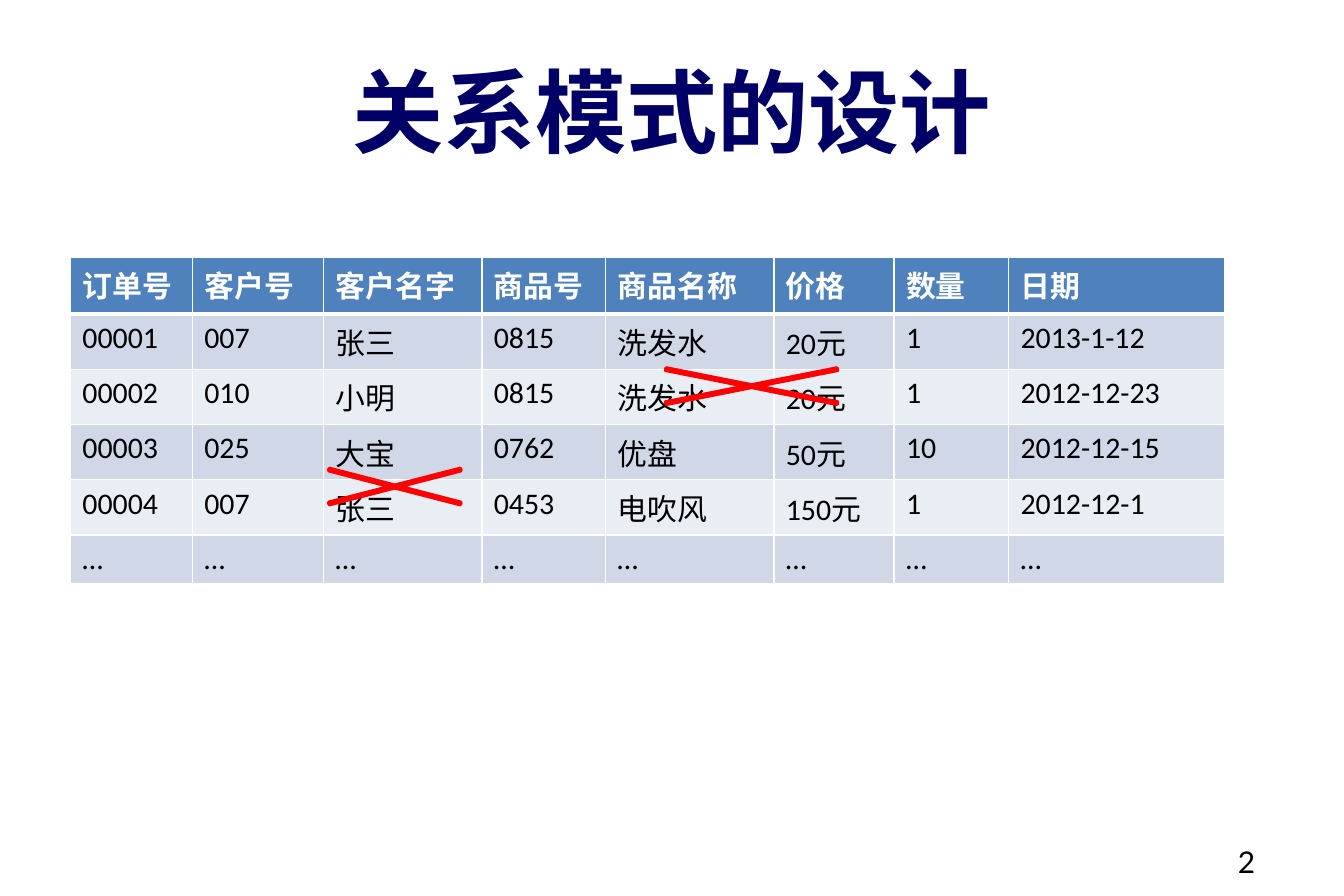
import dataclasses

import pptx
import pptx.dml.color
import pptx.enum.shapes
import pptx.enum.text
import pptx.oxml
import pptx.oxml.ns
import pptx.util

Pt = pptx.util.Pt
ALIGN = pptx.enum.text.PP_ALIGN
ANCHOR = pptx.enum.text.MSO_ANCHOR

TITLE = "关系模式的设计"
PAGE = "2"
HEADER = ("订单号", "客户号", "客户名字", "商品号", "商品名称", "价格", "数量", "日期")
ORDERS = [
    ("00001", "007", "张三", "0815", "洗发水", "20元", "1", "2013-1-12"),
    ("00002", "010", "小明", "0815", "洗发水", "20元", "1", "2012-12-23"),
    ("00003", "025", "大宝", "0762", "优盘", "50元", "10", "2012-12-15"),
    ("00004", "007", "张三", "0453", "电吹风", "150元", "1", "2012-12-1"),
    ("…",) * len(HEADER),
]

SLIDE_SIZE = (810, 540)
TITLE_BOX = (40.5, 21.5, 729, 90)
PAGE_BOX = (580.5, 502, 189, 37.5)
TABLE_ORIGIN = (42.5, 154.8)
COL_WIDTHS = (73.5, 79, 95.5, 74.5, 101.5, 72.5, 69, 130.5)
HEADER_HEIGHT, ROW_HEIGHT = 34.5, 29.5
CROSS_BOXES = [(353.5, 213, 199, 39.5), (161.5, 273.5, 153, 39.5)]


@dataclasses.dataclass(frozen=True)
class Theme:
    """Colours, fonts and type sizes of the slide."""
    title: str = "000066"
    text: str = "000000"
    white: str = "FFFFFF"
    header: str = "4F81BD"
    bands: tuple = ("D0D8E8", "E9EDF4")
    cross: str = "FF0000"
    title_font: str = "Lato"
    header_font: str = "Arial"
    body_font: str = "Calibri"
    title_size: int = 55
    body_size: int = 18


THEME = Theme()


def rgb(value):
    """Turn a hex string into a colour."""
    return pptx.dml.color.RGBColor.from_string(value)


def write(tf, text, font, size, color, bold=False, align=None):
    """Put one formatted run into the first paragraph of a text frame."""
    p = tf.paragraphs[0]
    p.alignment = align
    r = p.add_run()
    r.text = text
    r.font.name, r.font.size, r.font.bold = font, Pt(size), bold
    r.font.color.rgb = rgb(color)


def set_insets(tf):
    """Give a text frame wrapping and the wide insets."""
    tf.word_wrap = True
    tf.auto_size = pptx.enum.text.MSO_AUTO_SIZE.NONE
    tf.margin_left = tf.margin_right = Pt(13)
    tf.margin_top = tf.margin_bottom = Pt(6.5)


def add_title(s):
    """Place and fill the title placeholder."""
    sp = s.shapes.title
    sp.left, sp.top, sp.width, sp.height = map(Pt, TITLE_BOX)
    set_insets(sp.text_frame)
    sp.text_frame.vertical_anchor = ANCHOR.MIDDLE
    write(sp.text_frame, TITLE, THEME.title_font, THEME.title_size,
          THEME.title, True, ALIGN.CENTER)


def add_page_number(s):
    """Write the page number at the lower right."""
    tf = s.shapes.add_textbox(*map(Pt, PAGE_BOX)).text_frame
    set_insets(tf)
    write(tf, PAGE, THEME.title_font, THEME.body_size, THEME.text,
          align=ALIGN.RIGHT)


def set_borders(cell, top, bottom):
    """Draw white cell borders, with the given top and bottom widths."""
    widths = {"lnL": 1, "lnR": 1, "lnT": top, "lnB": bottom}
    for i, (tag, width) in enumerate(widths.items()):
        ln = pptx.oxml.parse_xml(
            f'<a:{tag} {pptx.oxml.ns.nsdecls("a")} w="{Pt(width)}">'
            f'<a:solidFill><a:srgbClr val="{THEME.white}"/></a:solidFill>'
            f'</a:{tag}>')
        cell._tc.get_or_add_tcPr().insert(i, ln)


def add_orders(s):
    """Add the table of orders with a header and banded rows."""
    rows = [HEADER] + ORDERS
    heights = [HEADER_HEIGHT] + [ROW_HEIGHT] * len(ORDERS)
    size = (sum(COL_WIDTHS), sum(heights))
    table = s.shapes.add_table(len(rows), len(HEADER),
                               *map(Pt, TABLE_ORIGIN + size)).table
    table.first_row = table.horz_banding = False
    for col, width in zip(table.columns, COL_WIDTHS):
        col.width = Pt(width)
    for i, (values, height) in enumerate(zip(rows, heights)):
        table.rows[i].height = Pt(height)
        head = i == 0
        fill = THEME.header if head else THEME.bands[(i - 1) % 2]
        font = THEME.header_font if head else THEME.body_font
        color = THEME.white if head else THEME.text
        for j, value in enumerate(values):
            cell = table.cell(i, j)
            cell.fill.solid()
            cell.fill.fore_color.rgb = rgb(fill)
            set_borders(cell, 3 if i == 1 else 1, 3 if head else 1)
            write(cell.text_frame, value, font, THEME.body_size, color, head)


def add_cross(s, box):
    """Add a thin red cross over redundant values."""
    sp = s.shapes.add_shape(
        pptx.enum.shapes.MSO_SHAPE.MATH_MULTIPLY, *map(Pt, box))
    sp.adjustments[0] = 0.04
    sp.shadow.inherit = False
    sp.fill.solid()
    sp.fill.fore_color.rgb = sp.line.color.rgb = rgb(THEME.cross)
    sp.line.width = Pt(2)


prs = pptx.Presentation()
prs.slide_width, prs.slide_height = map(Pt, SLIDE_SIZE)
s = prs.slides.add_slide(prs.slide_layouts.get_by_name("Title Only"))
add_title(s)
add_page_number(s)
add_orders(s)
for box in CROSS_BOXES:
    add_cross(s, box)
prs.save("out.pptx")
